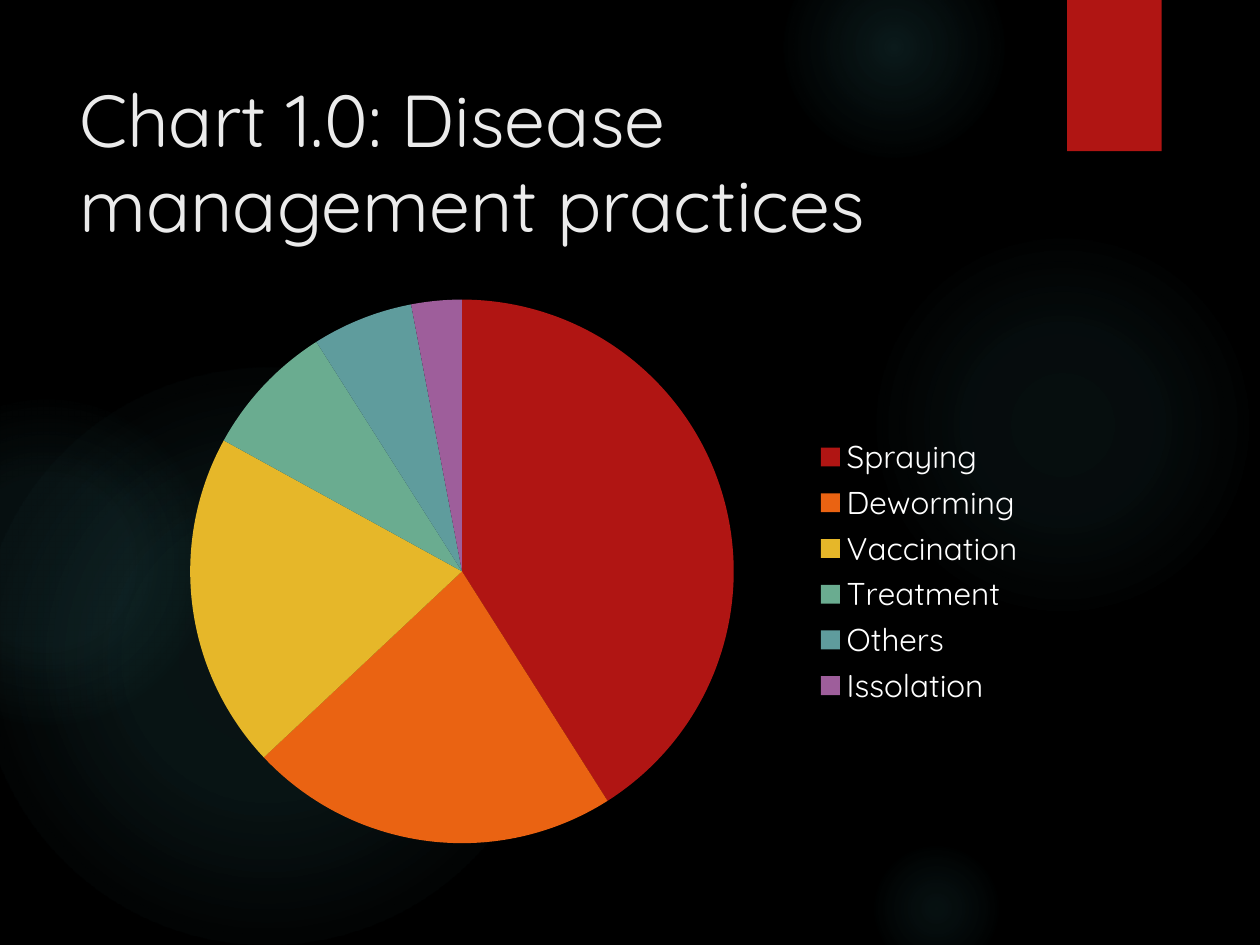
from lxml import etree
from pptx import Presentation
from pptx.chart.data import CategoryChartData as ChartData
from pptx.dml.color import RGBColor as RGB
from pptx.enum.chart import XL_CHART_TYPE as Kind, XL_LEGEND_POSITION as Side
from pptx.enum.shapes import MSO_SHAPE as Form
from pptx.enum.text import MSO_ANCHOR as Anchor
from pptx.oxml import parse_xml
from pptx.oxml.ns import nsdecls, qn
from pptx.util import Inches, Pt

BLACK = RGB(0x00, 0x00, 0x00)
WHITE = RGB(0xFF, 0xFF, 0xFF)
PALE = RGB(0xEB, 0xEB, 0xEB)
TEAL = RGB(0x50, 0xB9, 0xC1)
RED = RGB(0xB0, 0x15, 0x13)
ORANGE = RGB(0xEA, 0x63, 0x12)
YELLOW = RGB(0xE6, 0xB7, 0x29)
GREEN = RGB(0x6A, 0xAC, 0x90)
BLUE = RGB(0x5F, 0x9C, 0x9D)
PURPLE = RGB(0x9E, 0x5E, 0x9B)

# Left, top, diameter, then (position, opacity) stops in percent
GLOWS = [
    (6.89, 1.83, 3.08, [(0, 7), (36, 6), (69, 0)]),
    (6.22, -0.5, 1.75, [(0, 14), (36, 7), (73, 0)]),
    (6.89, 6.67, 1.08, [(0, 9), (36, 5), (66, 0)]),
    (-0.17, 2.92, 4.58, [(0, 11), (36, 10), (75, 0)]),
    (-0.92, 3.17, 2.58, [(0, 8), (36, 8), (72, 0)]),
]

# Practice, share, colour
SHARES = [
    ("Spraying", 41, RED),
    ("Deworming", 22, ORANGE),
    ("Vaccination", 20, YELLOW),
    ("Treatment", 8, GREEN),
    ("Others", 6, BLUE),
    ("Issolation", 3, PURPLE),
]


class Deck:
    font = "Quicksand"

    def __init__(self, slide):
        self.slide = slide
        fill = slide.background.fill
        fill.solid()
        fill.fore_color.rgb = BLACK

    def style(self, font, size, color):
        font.name, font.size = self.font, Pt(size)
        font.color.rgb = color

    def shape(self, form, *box):
        item = self.slide.shapes.add_shape(form, *map(Inches, box))
        item.shadow.inherit = False
        item.line.fill.background()
        return item

    def glow(self, left, top, size, stops):
        item = self.shape(Form.OVAL, left, top, size, size)
        item.fill.background()
        marks = "".join(
            f'<a:gs pos="{pos * 1000}"><a:srgbClr val="{TEAL}">'
            f'<a:alpha val="{alpha * 1000}"/></a:srgbClr></a:gs>'
            for pos, alpha in stops)
        grad = parse_xml(
            f'<a:gradFill {nsdecls("a")} rotWithShape="1"><a:gsLst>{marks}</a:gsLst>'
            '<a:path path="circle"><a:fillToRect l="50000" t="50000" r="50000" '
            'b="50000"/></a:path></a:gradFill>')
        props = item.element.spPr
        props.replace(props.find(qn("a:noFill")), grad)

    def tab(self, *box):
        item = self.shape(Form.RECTANGLE, *box)
        item.fill.solid()
        item.fill.fore_color.rgb = RED
        # Soft shadow below
        effects = item.element.spPr.find(qn("a:effectLst"))
        shade = etree.SubElement(
            effects, qn("a:outerShdw"), blurRad=str(Pt(3)), dist=str(Pt(2)),
            dir="5400000", rotWithShape="0")
        color = etree.SubElement(shade, qn("a:srgbClr"), val=str(BLACK))
        etree.SubElement(color, qn("a:alpha"), val="45000")

    def title(self, text, *box):
        frame = self.slide.shapes.add_textbox(*map(Inches, box)).text_frame
        frame.word_wrap = True
        frame.vertical_anchor = Anchor.BOTTOM
        frame.text = text
        para = frame.paragraphs[0]
        para.line_spacing = 0.96
        self.style(para.runs[0].font, 42, PALE)

    def pie(self, rows, *box):
        data = ChartData()
        data.categories = [name for name, _, _ in rows]
        data.add_series("Series 1", [share for _, share, _ in rows])
        chart = self.slide.shapes.add_chart(Kind.PIE, *map(Inches, box), data).chart
        chart.has_title = False
        self.style(chart.font, 18, WHITE)
        chart.has_legend = True
        chart.legend.position = Side.RIGHT
        chart.legend.include_in_layout = False
        plot = chart.plots[0]
        plot.vary_by_categories = True
        for i, (_, _, color) in enumerate(rows):
            part = plot.series[0].points[i].format
            part.fill.solid()
            part.fill.fore_color.rgb = color
            part.line.fill.background()


def main():
    prs = Presentation()
    prs.slide_width, prs.slide_height = Inches(10), Inches(7.5)
    deck = Deck(prs.slides.add_slide(prs.slide_layouts[6]))

    # Backdrop
    for glow in GLOWS:
        deck.glow(*glow)
    deck.tab(8.47, 0, 0.75, 1.2)

    # Content
    deck.title("Chart 1.0: Disease management practices", 0.53, 0.5, 7.72, 1.53)
    deck.pie(SHARES, 0.9, 2.24, 7.34, 4.59)

    prs.save("out.pptx")


if __name__ == "__main__":
    main()
